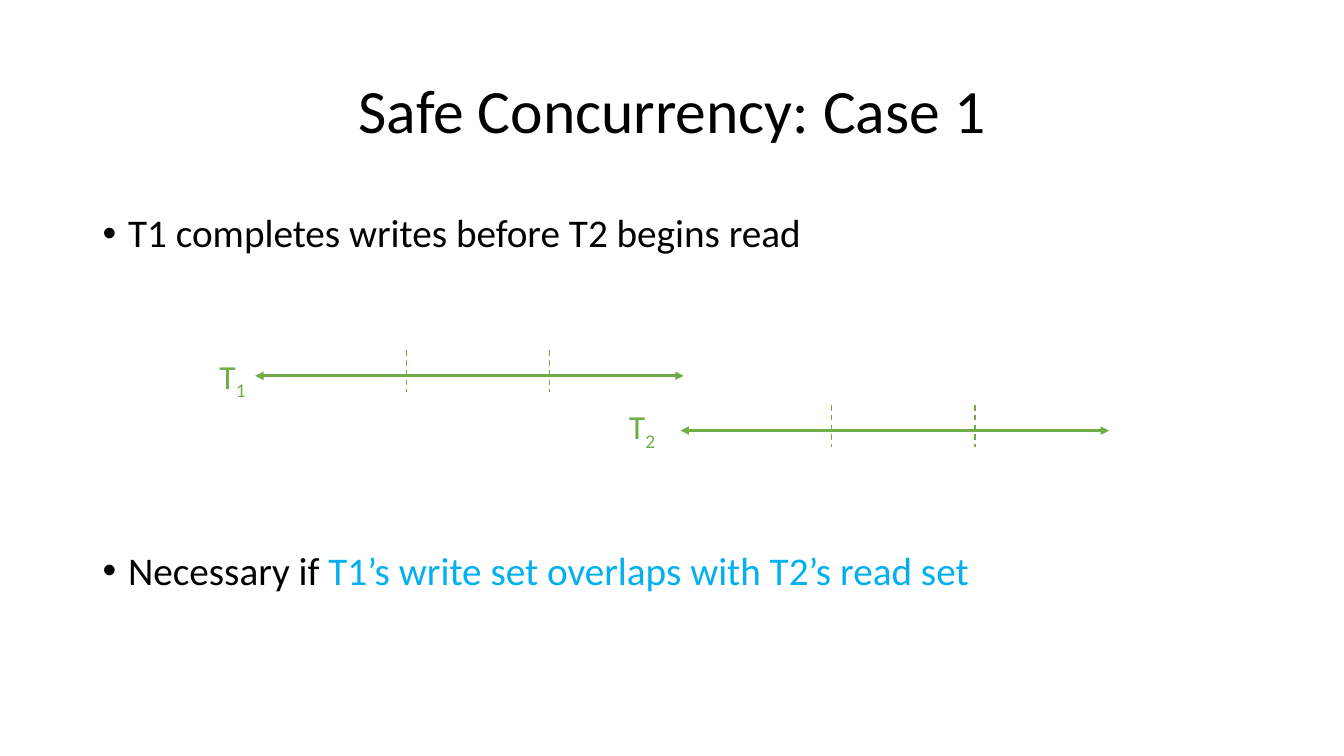
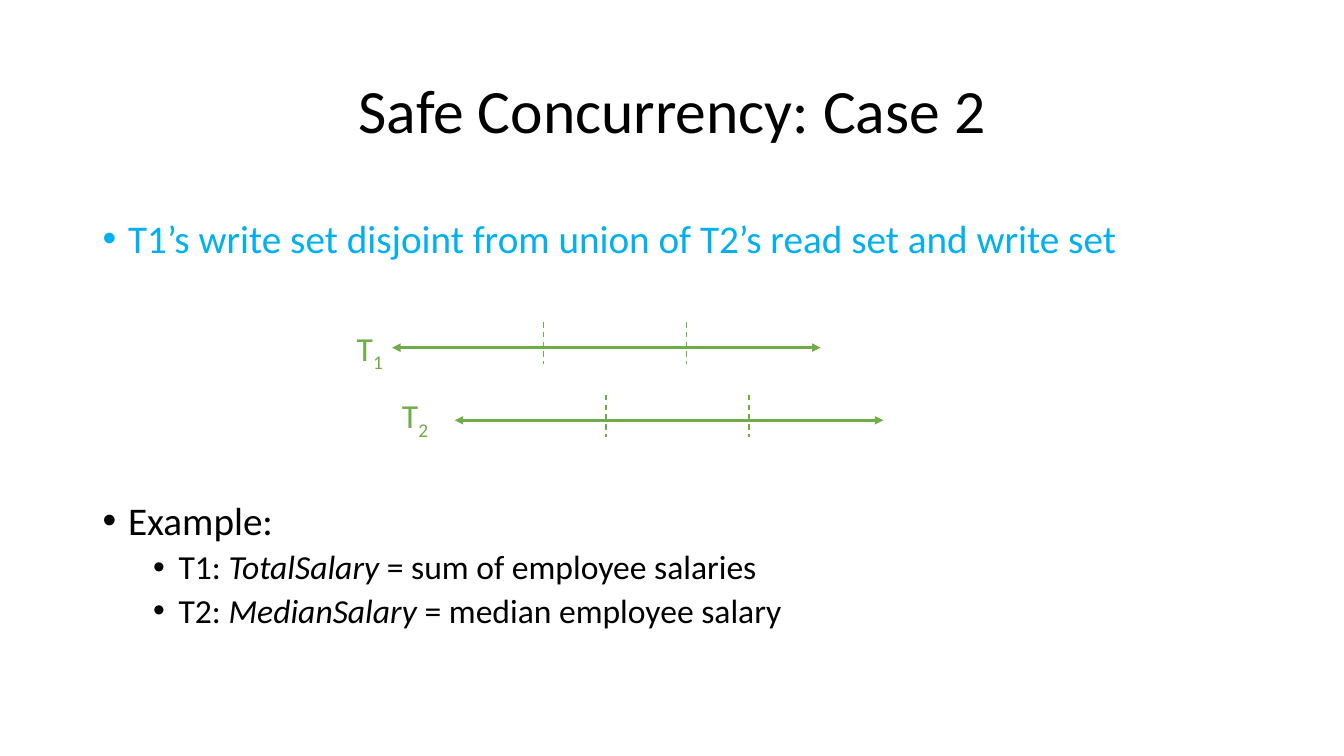
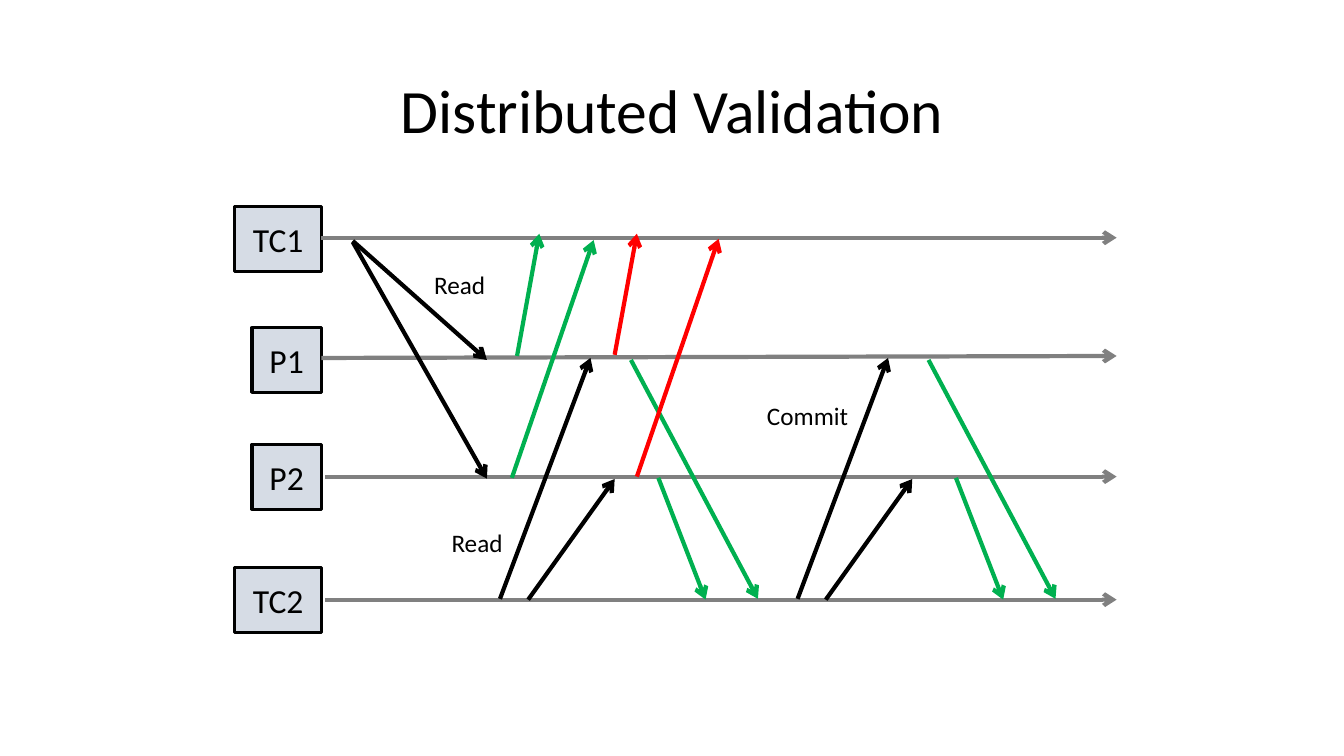
from lxml import etree
from pptx import Presentation
from pptx import util as u
from pptx.dml.color import RGBColor
from pptx.enum import dml, shapes, text
from pptx.oxml import ns

FONT = "Calibri"
BLACK, GREY, PALE = "000000", "808080", "D6DCE5"
LIME, GREEN, RED, SKY = "70AD47", "00B050", "FF0000", "00B0F0"

TITLE_BOX = (2.34, 1.02, 29.21, 3.68)
BODY_LEFT, BODY_WIDTH, BODY_HEIGHT = 2.34, 29.21, 12.09


def paint(color_format, value):
    color_format.rgb = RGBColor.from_string(value)


def add_xml(parent, tag, **attributes):
    return etree.SubElement(parent, ns.qn(tag), attributes)


# Text
def add_run(paragraph, words, size, color=BLACK, italic=False, subscript=False):
    run = paragraph.add_run()
    run.text = words
    run.font.name, run.font.size = FONT, u.Pt(size)
    paint(run.font.color, color)
    if italic:
        run.font.italic = True
    if subscript:
        run._r.get_or_add_rPr().set("baseline", "-25000")


def add_frame(slide, left, top, width, height, wrap=True):
    box = slide.shapes.add_textbox(u.Cm(left), u.Cm(top), u.Cm(width), u.Cm(height))
    frame = box.text_frame
    frame.word_wrap = wrap
    if not wrap:
        frame.auto_size = text.MSO_AUTO_SIZE.SHAPE_TO_FIT_TEXT
    return frame


def add_titled_slide(deck, title):
    slide = deck.slides.add_slide(deck.slide_layouts[6])
    frame = add_frame(slide, *TITLE_BOX)
    frame.vertical_anchor = text.MSO_ANCHOR.MIDDLE
    heading = frame.paragraphs[0]
    heading.alignment = text.PP_ALIGN.CENTER
    heading.line_spacing = 0.9
    add_run(heading, title, 44)
    return slide


def add_bullets(slide, top, bullets):
    """Each bullet is (level, space before in points, [(words, style), ...])."""
    frame = add_frame(slide, BODY_LEFT, top, BODY_WIDTH, BODY_HEIGHT)
    for index, (level, gap, runs) in enumerate(bullets):
        bullet = frame.add_paragraph() if index else frame.paragraphs[0]
        bullet.line_spacing, bullet.space_before = 0.9, u.Pt(gap)
        properties = bullet._p.get_or_add_pPr()
        properties.set("marL", str(u.Cm(0.64 + 1.27 * level)))
        properties.set("indent", str(-u.Cm(0.64)))
        add_xml(properties, "a:buFont", typeface="Arial")
        add_xml(properties, "a:buChar", char="•")
        for words, style in runs:
            add_run(bullet, words, 24 if level else 28, **style)


def add_label(slide, left, top, words, width):
    frame = add_frame(slide, left, top, width, 0.94, wrap=False)
    add_run(frame.paragraphs[0], words, 18)


# Lines
def add_line(slide, x1, y1, x2, y2, color, weight, dashed=False, head=None, tail=None):
    link = slide.shapes.add_connector(
        shapes.MSO_CONNECTOR.STRAIGHT, u.Cm(x1), u.Cm(y1), u.Cm(x2), u.Cm(y2))
    paint(link.line.color, color)
    link.line.width = u.Pt(weight)
    if dashed:
        link.line.dash_style = dml.MSO_LINE.DASH
    stroke = link.line._get_or_add_ln()
    for tag, kind in (("a:headEnd", head), ("a:tailEnd", tail)):
        if kind:
            add_xml(stroke, tag, type=kind)
    add_xml(link._element.spPr, "a:effectLst")


def add_transaction(slide, number, left, y, label_left, label_top):
    """A transaction's time span, cut into three phases by dashed ticks."""
    add_line(slide, left, y, left + 10.8, y, LIME, 2, head="triangle", tail="triangle")
    for offset in (3.81, 7.42):
        add_line(slide, left + offset, y - 0.64, left + offset, y + 0.42, LIME, 1, dashed=True)
    name = add_frame(slide, label_left, label_top, 1.35, 1.27, wrap=False).paragraphs[0]
    add_run(name, "T", 24, LIME)
    add_run(name, number, 24, LIME, subscript=True)


# Sequence diagram
def add_node(slide, name, right, top, width):
    node = slide.shapes.add_shape(
        shapes.MSO_SHAPE.FLOWCHART_PROCESS,
        u.Cm(right - width), u.Cm(top), u.Cm(width), u.Cm(1.63))
    node.shadow.inherit = False
    node.fill.solid()
    paint(node.fill.fore_color, PALE)
    paint(node.line.color, BLACK)
    node.line.width = u.Pt(2.25)
    node.text_frame.vertical_anchor = text.MSO_ANCHOR.MIDDLE
    caption = node.text_frame.paragraphs[0]
    caption.alignment = text.PP_ALIGN.CENTER
    add_run(caption, name, 24)


def add_messages(slide, messages, shift=0):
    for color, x1, y1, x2, y2 in messages:
        add_line(slide, x1 + shift, y1, x2 + shift, y2, color, 3, tail="arrow")


def build_case_1(deck):
    slide = add_titled_slide(deck, "Safe Concurrency: Case 1")
    add_bullets(slide, 5.26, [
        (0, 10, [("T1 completes writes before T2 begins read", {})]),
        (0, 211, [("Necessary if ", {}),
                  ("T1’s write set overlaps with T2’s read set", {"color": SKY})]),
    ])
    add_transaction(slide, "1", 6.43, 9.47, 5.28, 8.84)
    add_transaction(slide, "2", 17.15, 10.85, 15.6, 10.11)


def build_case_2(deck):
    slide = add_titled_slide(deck, "Safe Concurrency: Case 2")
    add_bullets(slide, 5.41, [
        (0, 10, [("T1’s write set disjoint from union of T2’s read set and write set",
                  {"color": SKY})]),
        (0, 171, [("Example:", {})]),
        (1, 5, [("T1: ", {}), ("TotalSalary", {"italic": True}),
                (" = sum of employee salaries", {})]),
        (1, 5, [("T2: ", {}), ("MedianSalary", {"italic": True}),
                (" = median employee salary", {})]),
    ])
    add_transaction(slide, "1", 9.88, 8.76, 8.74, 8.13)
    add_transaction(slide, "2", 11.46, 10.59, 9.88, 9.83)


def build_validation(deck):
    slide = add_titled_slide(deck, "Distributed Validation")

    # Nodes with their time lanes
    for name, width, top, lane_left, start_y, end_y in (
            ("TC1", 2.18, 5.21, 8.1, 5.99, 5.99),
            ("P1", 1.75, 8.26, 8.1, 9.02, 8.97),
            ("P2", 1.75, 11.2, 8.2, 12.01, 12.01),
            ("TC2", 2.18, 14.3, 8.2, 15.11, 15.11)):
        add_node(slide, name, 8.1, top, width)
        add_line(slide, lane_left, start_y, 28.14, end_y, GREY, 3, tail="arrow")

    # TC1 reads and gets its replies
    add_messages(slide, [
        (BLACK, 8.89, 6.07, 12.27, 9.07),
        (BLACK, 8.89, 6.1, 12.27, 12.06),
        (GREEN, 12.9, 12.04, 14.96, 6.05),
        (GREEN, 13.03, 8.97, 13.59, 5.89),
    ])

    # TC2 makes the same round trip twice: read, then commit
    for shift in (0, 7.5):
        add_messages(slide, [
            (GREEN, 15.9, 9.07, 19.1, 15.09),
            (BLACK, 12.6, 15.09, 14.88, 9.02),
            (BLACK, 13.31, 15.11, 15.49, 12.07),
            (GREEN, 16.59, 12.04, 17.78, 15.11),
        ], shift)

    # Refusals to TC1
    add_messages(slide, [
        (RED, 15.49, 8.94, 16.05, 5.89),
        (RED, 16.05, 12.01, 18.11, 6.02),
    ])

    add_label(slide, 10.69, 6.65, "Read", 1.91)
    add_label(slide, 11.13, 13.16, "Read", 1.91)
    add_label(slide, 19.08, 9.96, "Commit", 2.64)


def main():
    deck = Presentation()
    deck.slide_width, deck.slide_height = u.Cm(33.87), u.Cm(19.05)
    build_case_1(deck)
    build_case_2(deck)
    build_validation(deck)
    deck.save("out.pptx")


if __name__ == "__main__":
    main()
